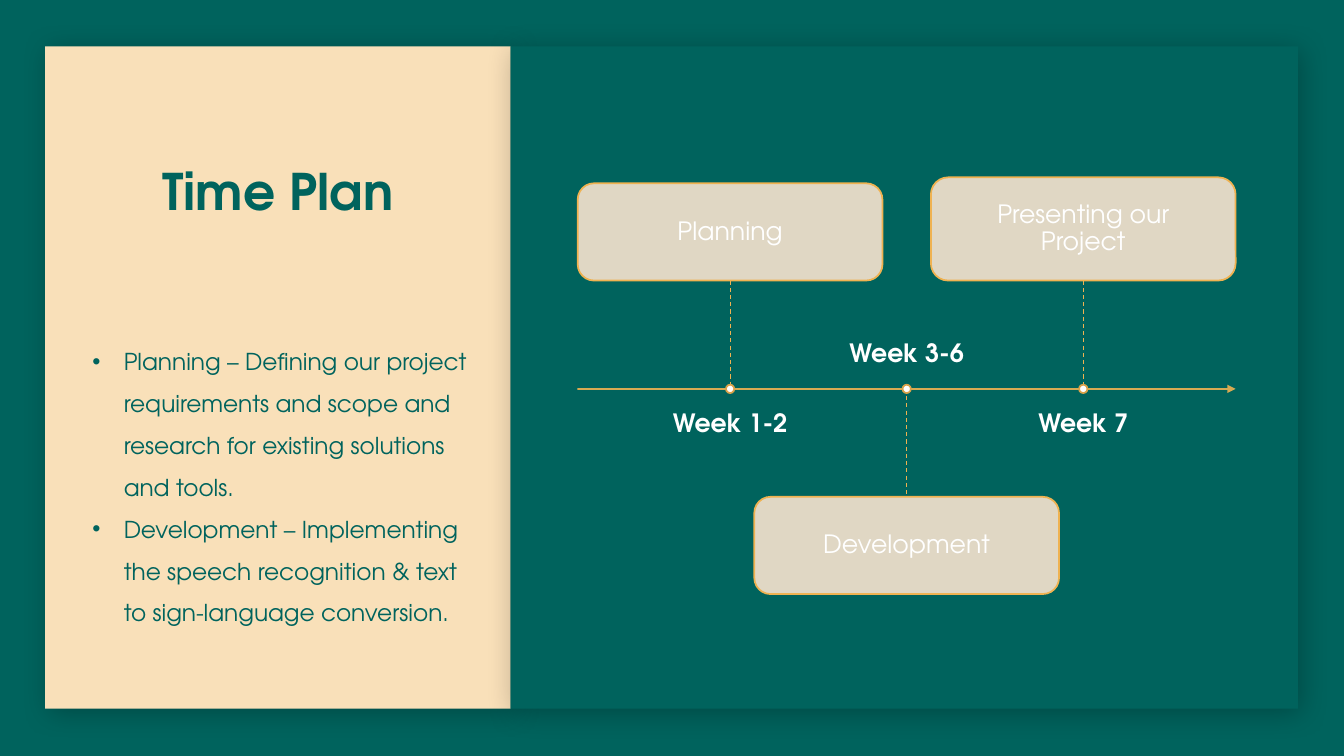
from dataclasses import dataclass

from lxml.etree import SubElement
from pptx import Presentation
from pptx.dml.color import RGBColor
from pptx.enum.dml import MSO_LINE as Dash
from pptx.enum.shapes import MSO_CONNECTOR as Connector, MSO_SHAPE as Shape
from pptx.enum.text import MSO_ANCHOR as Anchor, PP_ALIGN as Align
from pptx.oxml.ns import qn
from pptx.util import Cm, Pt


@dataclass(frozen=True)
class Theme:
    font: str = "TeX Gyre Adventor"
    green: str = "00635D"
    sand: str = "F9E0B9"
    card: str = "F9E4D0"
    gold: str = "EFB251"
    ring: str = "D9A24A"
    white: str = "FFFFFF"
    black: str = "000000"
    title_size: float = 36
    label_size: float = 18
    body_size: float = 16.6


THEME = Theme()


def add_node(parent, tag, **attributes):
    return SubElement(parent, qn(tag), {name: str(value) for name, value in attributes.items()})


def paint(fill, color, opacity=100):
    """Give a fill a solid colour, with opacity in percent."""
    fill.solid()
    fill.fore_color.rgb = RGBColor.from_string(color)
    if opacity < 100:
        color_node = fill._xPr.find(qn("a:solidFill"))[0]
        add_node(color_node, "a:alpha", val=opacity * 1000)


def write(frame, *texts, size=THEME.label_size, color=THEME.white, bold=False, align=Align.CENTER,
          anchor=Anchor.TOP, insets=(0, 0, 0, 0), spacing=0.9, bullet=None):
    """Write one paragraph per text; insets are left, top, right, bottom in cm."""
    frame.word_wrap = True
    frame.vertical_anchor = anchor
    (frame.margin_left, frame.margin_top,
     frame.margin_right, frame.margin_bottom) = map(Cm, insets)
    for index, text in enumerate(texts):
        para = frame.add_paragraph() if index else frame.paragraphs[0]
        para.alignment = align
        para.line_spacing = spacing
        if bullet:
            properties = para._p.get_or_add_pPr()
            properties.set("marL", str(Cm(0.79)))
            properties.set("indent", str(Cm(-0.79)))
            bullet_color = add_node(properties, "a:buClr")
            add_node(bullet_color, "a:srgbClr", val=color)
            add_node(properties, "a:buFont", typeface="Arial")
            add_node(properties, "a:buChar", char=bullet)
        span = para.add_run()
        span.text = text
        span.font.name = THEME.font
        span.font.size = Pt(size)
        span.font.bold = bold
        span.font.color.rgb = RGBColor.from_string(color)


class SlideBuilder:
    """Draws styled elements on one slide, with lengths in cm."""

    def __init__(self, slide, theme):
        self.slide = slide
        self.theme = theme
        paint(slide.background.fill, theme.green)

    def shape(self, kind, left, top, width, height, fill, opacity=100, line=None):
        shape = self.slide.shapes.add_shape(kind, Cm(left), Cm(top), Cm(width), Cm(height))
        shape.shadow.inherit = False
        paint(shape.fill, fill, opacity)
        if line:
            paint(shape.line.fill, line)
            shape.line.width = Pt(1.25)
        else:
            shape.line.fill.background()
        return shape

    def panel(self, left, top, width, height, fill):
        """Add a rectangle with a soft shadow."""
        panel = self.shape(Shape.RECTANGLE, left, top, width, height, fill)
        effects = panel._element.spPr.find(qn("a:effectLst"))
        shadow = add_node(effects, "a:outerShdw", blurRad=Pt(20), dist=Pt(4),
                          dir=45 * 60000, algn="tl", rotWithShape=0)
        color = add_node(shadow, "a:srgbClr", val=self.theme.black)
        add_node(color, "a:alpha", val=25000)

    def text(self, left, top, width, height, *texts, **style):
        box = self.slide.shapes.add_textbox(Cm(left), Cm(top), Cm(width), Cm(height))
        write(box.text_frame, *texts, **style)

    def card(self, center, top, height, text, width=7.68):
        card = self.shape(Shape.ROUNDED_RECTANGLE, center - width / 2, top, width, height,
                          self.theme.card, opacity=90, line=self.theme.gold)
        write(card.text_frame, text, anchor=Anchor.MIDDLE, insets=(0.45,) * 4)

    def dot(self, center_x, center_y, size=0.21):
        self.shape(Shape.OVAL, center_x - size / 2, center_y - size / 2, size, size,
                   self.theme.white, line=self.theme.ring)

    def line(self, start, end, width, opacity=100, dash=None, arrow=False):
        line = self.slide.shapes.add_connector(Connector.STRAIGHT, *map(Cm, start + end))
        paint(line.line.fill, self.theme.gold, opacity)
        line.line.width = Pt(width)
        if dash:
            line.line.dash_style = dash
        if arrow:
            add_node(line.line._get_or_add_ln(), "a:tailEnd", type="triangle")
        add_node(line._element.spPr, "a:effectLst")


def draw_timeline(page):
    axis_y, first_x, step = 9.8, 18.4, 4.45
    upper_bottom, lower_top = 7.07, 12.52
    label_width, label_height = 6.75, 1.63
    stages = [
        ("Week 1-2", "Planning", 2.45, True),
        ("Week 3-6", "Development", 2.45, False),
        ("Week 7", "Presenting our Project", 2.6, True),
    ]
    page.line((14.55, axis_y), (31.14, axis_y), 1.25, opacity=90, arrow=True)
    for index, (week, stage, height, is_upper) in enumerate(stages):
        center = first_x + index * step
        card_top = upper_bottom - height if is_upper else lower_top
        card_edge = upper_bottom if is_upper else lower_top
        page.card(center, card_top, height, stage)
        page.line((center, min(card_edge, axis_y)), (center, max(card_edge, axis_y)),
                  0.75, dash=Dash.DASH)
        page.text(center - label_width / 2, 10.34 if is_upper else 7.65,
                  label_width, label_height, week, bold=True,
                  anchor=Anchor.TOP if is_upper else Anchor.BOTTOM)
        page.dot(center, axis_y)


def main():
    deck = Presentation()
    deck.slide_width, deck.slide_height = Cm(33.87), Cm(19.05)
    page = SlideBuilder(deck.slides.add_slide(deck.slide_layouts[6]), THEME)

    page.panel(1.14, 1.17, 11.73, 16.69, THEME.sand)
    page.panel(12.87, 1.17, 19.84, 16.69, THEME.green)
    page.text(1.47, 1.75, 11.07, 6.1, "Time Plan", size=THEME.title_size,
              color=THEME.green, bold=True, anchor=Anchor.MIDDLE, spacing=1.0)
    page.text(
        2.08, 8.28, 10.49, 8.66,
        "Planning – Defining our project requirements and scope and research for "
        "existing solutions and tools.",
        "Development – Implementing the speech recognition & text to sign-language conversion.",
        size=THEME.body_size, color=THEME.green, align=Align.LEFT,
        insets=(0.25, 0.13, 0.76, 0.13), spacing=1.5, bullet="•")
    draw_timeline(page)
    deck.save("out.pptx")


if __name__ == "__main__":
    main()
